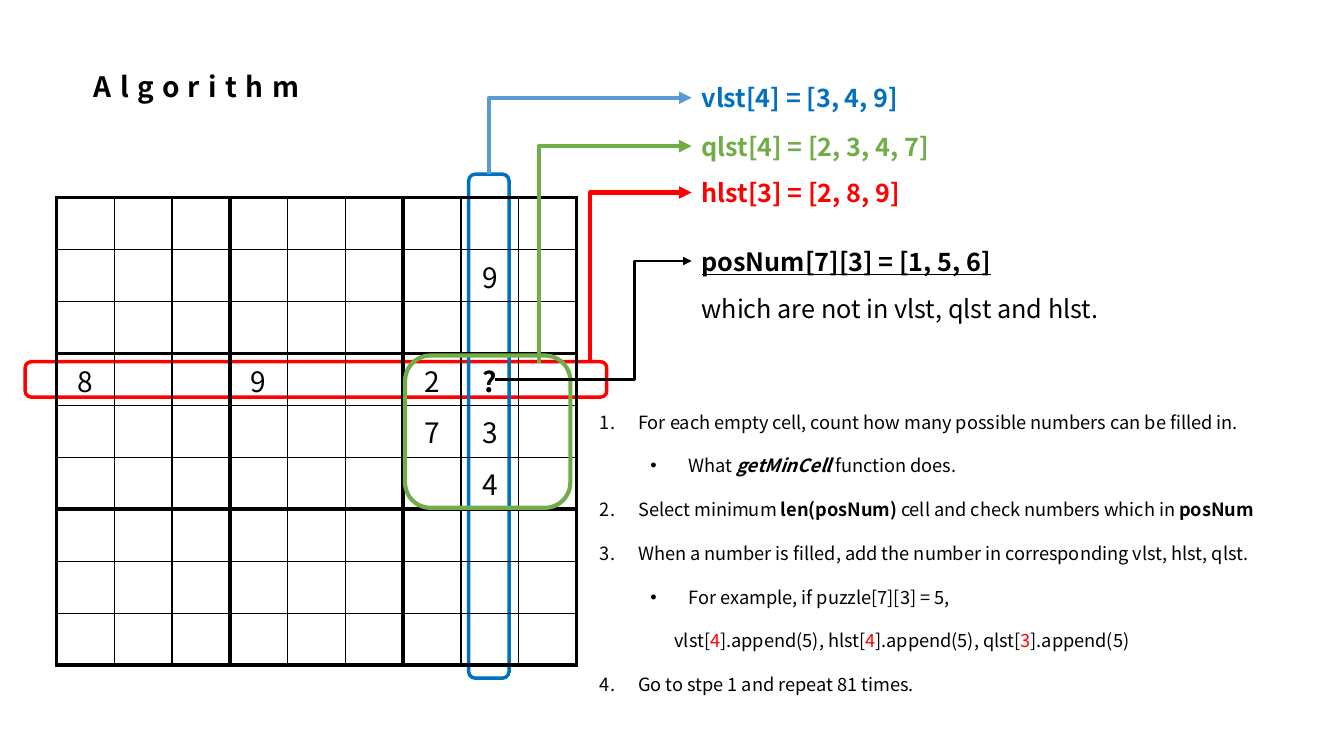
from dataclasses import dataclass

from pptx import Presentation, util as u
from pptx.dml.color import RGBColor
from pptx.enum import shapes as es, text as et
from pptx.oxml import ns
from lxml import etree


@dataclass(frozen=True)
class Theme:
    font: str = "Noto Sans CJK KR"
    black: str = "000000"
    red: str = "FF0000"
    blue: str = "0070C0"
    sky: str = "5B9BD5"
    green: str = "70AD47"
    head: float = 20
    note: float = 18
    body: float = 13


T = Theme()
DIGITS = {(1, 7): "9", (3, 0): "8", (3, 3): "9", (3, 6): "2", (3, 7): "?",
          (4, 6): "7", (4, 7): "3", (5, 7): "4"}
BOLD, RED = {"bold": True}, {"color": T.red}
# Each step: kind, then its runs
STEPS = [
    ("num", [("For each empty cell, count how many possible numbers can be filled in.", {})]),
    ("dot", [("What ", {}), ("getMinCell", {"bold": True, "italic": True}),
             (" function does.", {})]),
    ("num", [("Select minimum ", {}), ("len(posNum)", BOLD),
             (" cell and check numbers which in ", {}), ("posNum", BOLD)]),
    ("num", [("When a number is filled, add the number in corresponding vlst, hlst, qlst.", {})]),
    ("dot", [("For example, if puzzle[7][3] = 5,", {})]),
    ("code", [("vlst[", {}), ("4", RED), ("].append(5), hlst[", {}), ("4", RED),
              ("].append(5), qlst[", {}), ("3", RED), ("].append(5)", {})]),
    ("num", [("Go to stpe 1 and repeat 81 times.", {})]),
]
# Level, left margin and first-line indent of each kind
KINDS = {"num": (0, 0.38, -0.38), "dot": (1, 0.88, -0.38), "code": (1, 0.74, 0)}


def sub(node, tag, **attrs):
    item = etree.SubElement(node, ns.qn(tag))
    for key, val in attrs.items():
        item.set(key, str(val))
    return item


def inch(*vals):
    return [u.Inches(v) for v in vals]


def put(par, words, size=T.body, color=T.black, bold=False, italic=False,
        under=False, gap=None):
    run = par.add_run()
    run.text = words
    font = run.font
    font.name, font.size = T.font, u.Pt(size)
    font.bold, font.italic, font.underline = bold, italic, under
    font.color.rgb = RGBColor.from_string(color)
    if gap:
        run.font._element.set("spc", str(gap * 100))


def place(shape, box):
    shape.left, shape.top, shape.width, shape.height = inch(*box)


def title(slide, box):
    shape = slide.shapes.title
    place(shape, box)
    frame = shape.text_frame
    frame.word_wrap = False
    frame.auto_size = et.MSO_AUTO_SIZE.NONE
    frame.vertical_anchor = et.MSO_ANCHOR.TOP
    par = frame.paragraphs[0]
    par.alignment = et.PP_ALIGN.LEFT
    put(par, "Algorithm", size=T.head, bold=True, gap=6)


def ring(slide, box, color, width):
    shape = slide.shapes.add_shape(es.MSO_SHAPE.ROUNDED_RECTANGLE, *inch(*box))
    shape.shadow.inherit = False
    shape.fill.background()
    shape.line.color.rgb = RGBColor.from_string(color)
    shape.line.width = u.Pt(width)


def edge(cell, row, col):
    # Thick rules fall on every third line
    props = cell._tc.get_or_add_tcPr()
    for side, line in (("L", col), ("R", col + 1), ("T", row), ("B", row + 1)):
        width = 3 if line % 3 == 0 else 1
        rule = sub(props, "a:ln" + side, w=u.Pt(width))
        sub(sub(rule, "a:solidFill"), "a:srgbClr", val=T.black)
    cell.fill.background()


def board(slide, box):
    table = slide.shapes.add_table(9, 9, *inch(*box)).table
    table.first_row = table.horz_banding = False
    for row in range(9):
        for col in range(9):
            cell = table.cell(row, col)
            edge(cell, row, col)
            cell.margin_left, cell.margin_right, cell.margin_top, cell.margin_bottom = \
                inch(0.11, 0.11, 0.06, 0.05)
            par = cell.text_frame.paragraphs[0]
            par.alignment = et.PP_ALIGN.CENTER
            mark = DIGITS.get((row, col))
            if mark:
                put(par, mark, size=T.head, bold=mark == "?")
            else:
                par.font.size = u.Pt(T.note)


def puzzle(slide, box):
    left, top, wide, high = box

    def spot(col, row):
        return left + col * wide / 9, top + row * high / 9

    def span(col, row, cols, rows):
        return *spot(col, row), cols * wide / 9, rows * high / 9

    ring(slide, span(-0.54, 3.16, 10.06, 0.68), T.red, 2.5)
    ring(slide, span(7.13, -0.45, 0.7, 9.7), T.blue, 2.5)
    board(slide, box)
    ring(slide, span(6.03, 3.04, 2.86, 2.93), T.green, 3)
    return spot


def arrow(slide, start, end, color, width, turn=None):
    """One corner (up, then right), or two corners at the share `turn`."""
    ax, ay, bx, by = *start, *end
    if turn is None:
        # The one-corner preset is laid out unturned, then turned by 90 degrees
        midx, midy = (ax + bx) / 2, (ay + by) / 2
        halfw, halfh = (ay - by) / 2, (bx - ax) / 2
        ax, ay, bx, by = midx + halfw, midy + halfh, midx - halfw, midy - halfh
    link = slide.shapes.add_connector(es.MSO_CONNECTOR.ELBOW, *inch(ax, ay, bx, by))
    link.line.color.rgb = RGBColor.from_string(color)
    link.line.width = u.Pt(width)
    props = link._element.spPr
    geom = props.find(ns.qn("a:prstGeom"))
    if turn is None:
        geom.set("prst", "bentConnector2")
        props.find(ns.qn("a:xfrm")).set("rot", str(90 * 60000))
    else:
        sub(geom.find(ns.qn("a:avLst")), "a:gd", name="adj1", fmla=f"val {turn * 100000:.0f}")
    sub(props.find(ns.qn("a:ln")), "a:tailEnd", type="triangle")
    sub(props, "a:effectLst")


def label(slide, box, words, **fmt):
    frame = slide.shapes.add_textbox(*inch(*box)).text_frame
    frame.word_wrap = False
    put(frame.paragraphs[0], words, size=T.note, **fmt)


def notes(slide, box, spot):
    left, top, wide, high = box
    # Offset, words, text colour, arrow start, arrow colour, arrow width, turn
    rows = [
        (0, "vlst[4] = [3, 4, 9]", T.blue, (7.48, -0.45), T.sky, 3, None),
        (0.48, "qlst[4] = [2, 3, 4, 7]", T.green, (8.35, 3.18), T.green, 3, None),
        (0.94, "hlst[3] = [2, 8, 9]", T.red, (9.23, 3.12), T.red, 3, None),
        (1.62, "posNum[7][3] = [1, 5, 6]", T.black, (7.59, 3.51), T.black, 2, 0.71),
    ]
    for down, words, color, start, tint, width, turn in rows:
        arrow(slide, spot(*start), (left, top + down + high / 2), tint, width, turn)
        label(slide, (left, top + down, wide, high), words, color=color,
              bold=True, under=turn is not None)
    label(slide, (left, top + 2.09, wide, high), "which are not in vlst, qlst and hlst.")


def steps(slide, box):
    shape = slide.placeholders[1]
    place(shape, box)
    frame = shape.text_frame
    frame.word_wrap = True
    frame.auto_size = et.MSO_AUTO_SIZE.NONE
    for i, (kind, runs) in enumerate(STEPS):
        par = frame.add_paragraph() if i else frame.paragraphs[0]
        par.level, left, first = KINDS[kind]
        par.line_spacing, par.space_before = 2.0, u.Pt(0)
        props = par._p.get_or_add_pPr()
        props.set("marL", str(u.Inches(left)))
        props.set("indent", str(u.Inches(first)))
        if kind == "num":
            sub(props, "a:buFont", typeface="+mj-lt")
            sub(props, "a:buAutoNum", type="arabicPeriod")
        elif kind == "dot":
            sub(props, "a:buFont", typeface="Arial")
            sub(props, "a:buChar", char="•")
        else:
            sub(props, "a:buNone")
        for words, fmt in runs:
            put(par, words, **fmt)


def main():
    deck = Presentation()
    deck.slide_width, deck.slide_height = inch(13.33, 7.5)
    slide = deck.slides.add_slide(deck.slide_layouts[1])
    title(slide, (0.83, 0.64, 2.31, 0.44))
    spot = puzzle(slide, (0.56, 1.96, 5.16, 4.64))
    notes(slide, (6.86, 0.77, 4.16, 0.4), spot)
    steps(slide, (5.85, 3.81, 7.07, 3.16))
    deck.save("out.pptx")


if __name__ == "__main__":
    main()
